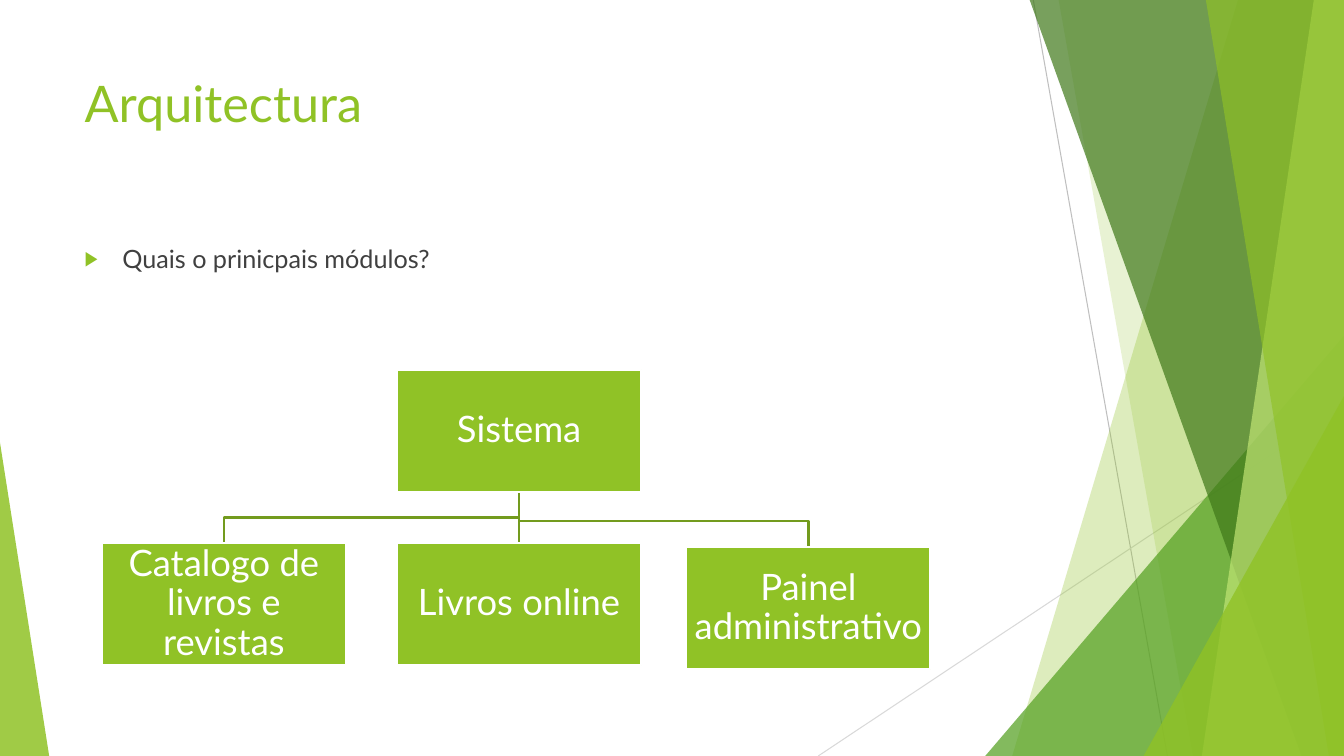
from lxml import etree
from pptx import Presentation
from pptx.dml.color import RGBColor
from pptx.enum.shapes import MSO_CONNECTOR, MSO_SHAPE
from pptx.enum.text import MSO_ANCHOR, MSO_AUTO_SIZE, PP_ALIGN
from pptx.oxml.ns import qn
from pptx.util import Cm, Pt

STRAIGHT = MSO_CONNECTOR.STRAIGHT
RECTANGLE, TRIANGLE = MSO_SHAPE.RECTANGLE, MSO_SHAPE.ISOSCELES_TRIANGLE
TOP, MIDDLE = MSO_ANCHOR.TOP, MSO_ANCHOR.MIDDLE
LEFT, CENTER = PP_ALIGN.LEFT, PP_ALIGN.CENTER
NO_FIT = MSO_AUTO_SIZE.NONE

FONT = "Lato"
LIME = RGBColor(0x90, 0xC2, 0x26)
PALE_LIME = RGBColor(0xC0, 0xE4, 0x74)
GREEN = RGBColor(0x54, 0xA0, 0x21)
DARK_GREEN = RGBColor(0x3F, 0x78, 0x19)
OLIVE = RGBColor(0x73, 0x9B, 0x1E)
WHITE = RGBColor(0xFF, 0xFF, 0xFF)
CHARCOAL = RGBColor(0x40, 0x40, 0x40)
GREY = RGBColor(0xBF, 0xBF, 0xBF)
LIGHT_GREY = RGBColor(0xD9, 0xD9, 0xD9)

SLIDE_W, SLIDE_H = 33.87, 19.05
NODE_W, NODE_H = 6.15, 3.07
ELBOW_RISE = 0.65


def add_run(p, text, size, color):
    """Add one run of text to a paragraph."""
    r = p.add_run()
    r.text = text
    r.font.name = FONT
    r.font.size = Pt(size)
    r.font.color.rgb = color


def fill_translucent(sp, color, opacity):
    """Fill a shape with a colour at an opacity in percent, without outline."""
    sp.shadow.inherit = False
    sp.line.fill.background()
    sp.fill.solid()
    sp.fill.fore_color.rgb = color
    clr = sp.fill._xPr.find(qn("a:solidFill"))[0]
    etree.SubElement(clr, qn("a:alpha"), val=str(opacity * 1000))


def add_line(s, start, end, color, width):
    """Draw a straight line between two points."""
    line = s.shapes.add_connector(STRAIGHT, *(Cm(v) for v in start + end))
    line.line.color.rgb = color
    line.line.width = Pt(width)
    etree.SubElement(line._element.spPr, qn("a:effectLst"))


def add_path(s, points, close):
    """Build an outline through the given points."""
    pts = [(Cm(x), Cm(y)) for x, y in points]
    builder = s.shapes.build_freeform(*pts[0])
    builder.add_line_segments(pts[1:], close=close)
    sp = builder.convert_to_shape()
    sp.shadow.inherit = False
    return sp


def add_corner(s, box, apex, color, opacity):
    """Add a right triangle whose apex is at the left (0) or right (1)."""
    sp = s.shapes.add_shape(TRIANGLE, *(Cm(v) for v in box))
    sp.adjustments[0] = apex
    fill_translucent(sp, color, opacity)


def add_facets(s, box):
    """Draw the translucent facets, measured inward from the right edge."""
    x, y, w, h = box
    right, bottom = x + w, y + h

    def sliver(top_w, bottom_w, color, opacity):
        """Add a full-height facet by its widths at top and bottom."""
        points = [(right - top_w, y), (right, y), (right, bottom), (right - bottom_w, bottom)]
        fill_translucent(add_path(s, points, True), color, opacity)

    def corner(width, height, color, opacity):
        """Add a triangle in the bottom right corner."""
        add_corner(s, (right - width, bottom - height, width, height), 1, color, opacity)

    add_line(s, (right - 7.83, y), (right - 4.45, bottom), GREY, 0.75)
    add_line(s, (right, y + 10.24), (x, bottom), LIGHT_GREY, 0.75)
    sliver(2.67, 8.36, LIME, 30)
    sliver(7.19, 3.81, LIME, 20)
    corner(9.04, 10.59, GREEN, 72)
    sliver(7.92, 1.07, DARK_GREEN, 70)
    sliver(0.76, 3.58, PALE_LIME, 70)
    sliver(3.48, 0.38, LIME, 65)
    corner(5.05, 9.07, LIME, 80)


def fill_placeholder(sp, box, text, size, color):
    """Move a placeholder, put one run in it and return its paragraph."""
    sp.left, sp.top, sp.width, sp.height = (Cm(v) for v in box)
    tf = sp.text_frame
    tf.auto_size = NO_FIT
    tf.vertical_anchor = TOP
    p = tf.paragraphs[0]
    p.alignment = LEFT
    add_run(p, text, size, color)
    return p


def add_question(sp, box):
    """Fill the body with its bulleted question."""
    p = fill_placeholder(sp, box, "Quais o prinicpais módulos?", 18, CHARCOAL)
    p.space_before = Pt(10)
    pPr = p._p.get_or_add_pPr()
    pPr.set("marL", str(Cm(0.95)))
    pPr.set("indent", str(Cm(-0.95)))
    clr = etree.SubElement(pPr, qn("a:buClr"))
    etree.SubElement(clr, qn("a:srgbClr"), val=str(LIME))
    etree.SubElement(pPr, qn("a:buSzPct"), val="80000")
    etree.SubElement(pPr, qn("a:buChar"), char="▶")


def add_node(s, x, y, text):
    """Add one box of the module tree."""
    sp = s.shapes.add_shape(RECTANGLE, Cm(x), Cm(y), Cm(NODE_W), Cm(NODE_H))
    sp.shadow.inherit = False
    sp.fill.solid()
    sp.fill.fore_color.rgb = LIME
    sp.line.color.rgb = WHITE
    sp.line.width = Pt(1.5)
    tf = sp.text_frame
    tf.word_wrap = True
    tf.vertical_anchor = MIDDLE
    tf.margin_left = tf.margin_right = tf.margin_top = tf.margin_bottom = Cm(0.05)
    p = tf.paragraphs[0]
    p.alignment = CENTER
    p.line_spacing = 0.9
    add_run(p, text, 26, WHITE)


def add_module_tree(s, box):
    """Draw the system box, its modules and the links between them."""
    x, y, w, h = box
    root_x, row_y = x + 7.44, y + h - NODE_H - 0.1
    modules = [
        (x, row_y, "Catalogo de livros e revistas"),
        (root_x, row_y, "Livros online"),
        (x + w - NODE_W, row_y + 0.1, "Painel administrativo"),
    ]
    start = (root_x + NODE_W / 2, y + NODE_H)
    for left, top, _ in reversed(modules):
        end = (left + NODE_W / 2, top)
        if left == root_x:
            add_line(s, start, end, OLIVE, 1.5)
            continue
        bend_y = top - ELBOW_RISE
        link = add_path(s, [start, (start[0], bend_y), (end[0], bend_y), end], False)
        link.fill.background()
        link.line.color.rgb = OLIVE
        link.line.width = Pt(1.5)
    for node in [(root_x, y, "Sistema")] + modules:
        add_node(s, *node)


def build_slide(prs, box):
    """Build the architecture slide inside the given box."""
    x, y, w, h = box
    s = prs.slides.add_slide(prs.slide_layouts[1])
    add_facets(s, (x + w - 13.25, y, 13.25, h))
    add_corner(s, (x, y + h - 7.9, 1.24, 7.9), 0, LIME, 85)
    fill_placeholder(s.shapes.title, (x + 1.88, y + 1.7, 23.88, 3.66), "Arquitectura", 36, LIME)
    add_question(s.placeholders[1], (x + 1.88, y + 6, 23.88, 10.77))
    add_module_tree(s, (x + 2.57, y + 9.32, 20.88, 7.54))


prs = Presentation()
prs.slide_width, prs.slide_height = Cm(SLIDE_W), Cm(SLIDE_H)
build_slide(prs, (0, 0, SLIDE_W, SLIDE_H))
prs.save("out.pptx")
